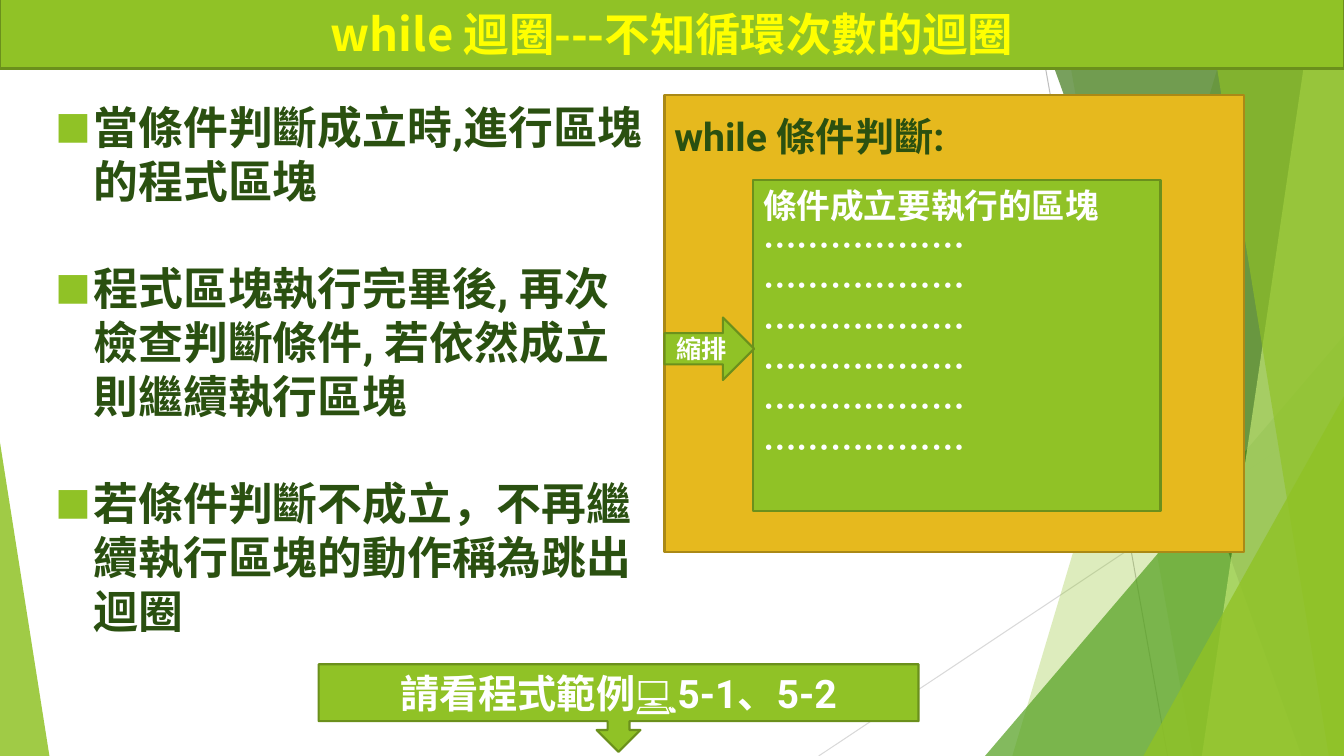
from dataclasses import dataclass

from lxml import etree
from pptx import Presentation, util as u
from pptx.dml.color import RGBColor
from pptx.enum import shapes, text
from pptx.oxml import ns

PX = 9144  # 100 px to the inch
WIDE, HIGH = 1333, 750

LIME = RGBColor(0x90, 0xC2, 0x26)
MOSS = RGBColor(0x6B, 0x90, 0x1C)
LEAF = RGBColor(0x54, 0xA0, 0x21)
FERN = RGBColor(0x3F, 0x78, 0x19)
PALE = RGBColor(0xC0, 0xE4, 0x74)
DARK = RGBColor(0x2A, 0x50, 0x10)
GOLD = RGBColor(0xE6, 0xB9, 0x1E)
BROWN = RGBColor(0xAA, 0x89, 0x16)
YELLOW = RGBColor(0xFF, 0xFF, 0x00)
WHITE = RGBColor(0xFF, 0xFF, 0xFF)
GREY = RGBColor(0xBF, 0xBF, 0xBF)
SILVER = RGBColor(0xD9, 0xD9, 0xD9)

LATIN, HAN = "Roboto", "Noto Sans CJK SC"
KIND = shapes.MSO_SHAPE
MID, LEFT = text.PP_ALIGN.CENTER, text.PP_ALIGN.LEFT


@dataclass
class Ray:
    start: tuple[int, int]
    end: tuple[int, int]
    color: RGBColor


@dataclass
class Band:
    """Slanted strip: left edge on top, left edge below, right edge at the slide side."""
    top: int
    foot: int
    color: RGBColor
    alpha: int


@dataclass
class Peak:
    box: tuple[int, int, int, int]
    tip: int
    color: RGBColor
    alpha: int


@dataclass
class Panel:
    kind: KIND
    box: tuple[int, int, int, int]
    lines: list[str]
    size: float
    fill: RGBColor = LIME
    edge: RGBColor = MOSS
    ink: RGBColor = WHITE
    align: text.PP_ALIGN = MID
    font: str = LATIN
    rest: str = LATIN  # font of the lines after the first
    inset: int | None = None  # top margin of text set from the top


DECOR = [
    Ray((1025, 0), (1158, 750), GREY),
    Ray((1333, 403), (812, 750), SILVER),
    Band(1228, 1004, LIME, 30),
    Band(1050, 1183, LIME, 20),
    Peak((977, 333, 356, 417), 1, LEAF, 72),
    Band(1021, 1291, FERN, 70),
    Band(1303, 1192, PALE, 70),
    Band(1196, 1318, LIME, 65),
    Peak((1134, 393, 199, 357), 1, LIME, 80),
    Peak((0, 439, 49, 311), 0, LIME, 85),
]

POINTS = [
    "當條件判斷成立時,進行區塊的程式區塊",
    "程式區塊執行完畢後, 再次檢查判斷條件, 若依然成立則繼續執行區塊",
    "若條件判斷不成立，不再繼續執行區塊的動作稱為跳出迴圈",
]

TITLE = Panel(KIND.RECTANGLE, (0, -1, 1333, 69), ["while 迴圈---不知循環次數的迴圈"],
              32.4, ink=YELLOW, font=HAN)
PANELS = [
    Panel(KIND.RECTANGLE, (659, 94, 575, 454), ["while 條件判斷:"], 28,
          GOLD, BROWN, DARK, LEFT, inset=17),
    Panel(KIND.RECTANGLE, (747, 179, 404, 328),
          ["條件成立要執行的區塊"] + ["………………"] * 6, 24,
          align=LEFT, rest=HAN, inset=4),
    Panel(KIND.RIGHT_ARROW, (659, 315, 89, 62), ["縮排"], 18),
    Panel(KIND.DOWN_ARROW_CALLOUT, (316, 659, 595, 87),
          ["請看程式範例💻5-1、5-2"], 28),
]


def scale(*nums: int) -> list[int]:
    return [n * PX for n in nums]


def paint(shape, color: RGBColor, alpha: int = 100) -> None:
    shape.shadow.inherit = False
    shape.fill.solid()
    shape.fill.fore_color.rgb = color
    if alpha < 100:
        tint = shape.fill._xPr.find(".//" + ns.qn("a:srgbClr"))
        etree.SubElement(tint, ns.qn("a:alpha"), val=str(alpha * 1000))


def write(para, words: str, *, size: float, ink: RGBColor,
          font: str = LATIN, align: text.PP_ALIGN = LEFT) -> None:
    para.alignment = align
    run = para.add_run()
    run.text = words
    run.font.size, run.font.bold, run.font.name = u.Pt(size), True, font
    run.font.color.rgb = ink
    etree.SubElement(run._r.get_or_add_rPr(), ns.qn("a:ea"), typeface=HAN)


def bullet(para) -> None:
    props = para._p.get_or_add_pPr()
    props.set("marL", str(38 * PX))
    props.set("indent", str(-38 * PX))
    tone = etree.SubElement(props, ns.qn("a:buClr"))
    etree.SubElement(tone, ns.qn("a:srgbClr"), val=str(LIME))
    etree.SubElement(props, ns.qn("a:buSzPct"), val="80000")
    etree.SubElement(props, ns.qn("a:buFont"), typeface=HAN)
    etree.SubElement(props, ns.qn("a:buChar"), char="■")


def draw_ray(slide, ray: Ray) -> None:
    line = slide.shapes.add_connector(
        shapes.MSO_CONNECTOR.STRAIGHT, *scale(*ray.start, *ray.end))
    line.line.color.rgb, line.line.width = ray.color, u.Pt(0.75)
    etree.SubElement(line._element.spPr, ns.qn("a:effectLst"))


def draw_band(slide, band: Band) -> None:
    pen = slide.shapes.build_freeform(band.top, -1, scale=PX)
    pen.add_line_segments([(WIDE, -1), (WIDE, HIGH), (band.foot, HIGH)])
    shape = pen.convert_to_shape()
    paint(shape, band.color, band.alpha)
    shape.line.fill.background()


def draw_peak(slide, peak: Peak) -> None:
    shape = slide.shapes.add_shape(KIND.ISOSCELES_TRIANGLE, *scale(*peak.box))
    shape.adjustments[0] = peak.tip
    paint(shape, peak.color, peak.alpha)
    shape.line.fill.background()


def draw_panel(slide, panel: Panel) -> None:
    shape = slide.shapes.add_shape(panel.kind, *scale(*panel.box))
    paint(shape, panel.fill)
    shape.line.color.rgb, shape.line.width = panel.edge, u.Pt(1.5)
    frame = shape.text_frame
    frame.word_wrap = True
    frame.vertical_anchor = text.MSO_ANCHOR.MIDDLE
    if panel.inset is not None:
        frame.vertical_anchor = text.MSO_ANCHOR.TOP
        frame.margin_top = panel.inset * PX
    for i, words in enumerate(panel.lines):
        para = frame.add_paragraph() if i else frame.paragraphs[0]
        write(para, words, size=panel.size, ink=panel.ink, align=panel.align,
              font=panel.rest if i else panel.font)


def draw_points(slide) -> None:
    frame = slide.shapes.add_textbox(*scale(45, 94, 603, 535)).text_frame
    frame.word_wrap = True
    for i, words in enumerate(POINTS):
        para = frame.add_paragraph() if i else frame.paragraphs[0]
        bullet(para)
        para.space_before = u.Pt(38.4 if i else 0)
        write(para, words, size=32, ink=DARK)


def main() -> None:
    deck = Presentation()
    deck.slide_width, deck.slide_height = scale(WIDE, HIGH)
    slide = deck.slides.add_slide(deck.slide_layouts[6])

    # Backdrop
    tools = {Ray: draw_ray, Band: draw_band, Peak: draw_peak}
    for part in DECOR:
        tools[type(part)](slide, part)

    # Title, bullet points, loop diagram and callout
    draw_panel(slide, TITLE)
    draw_points(slide)
    for panel in PANELS:
        draw_panel(slide, panel)

    deck.save("out.pptx")


if __name__ == "__main__":
    main()
